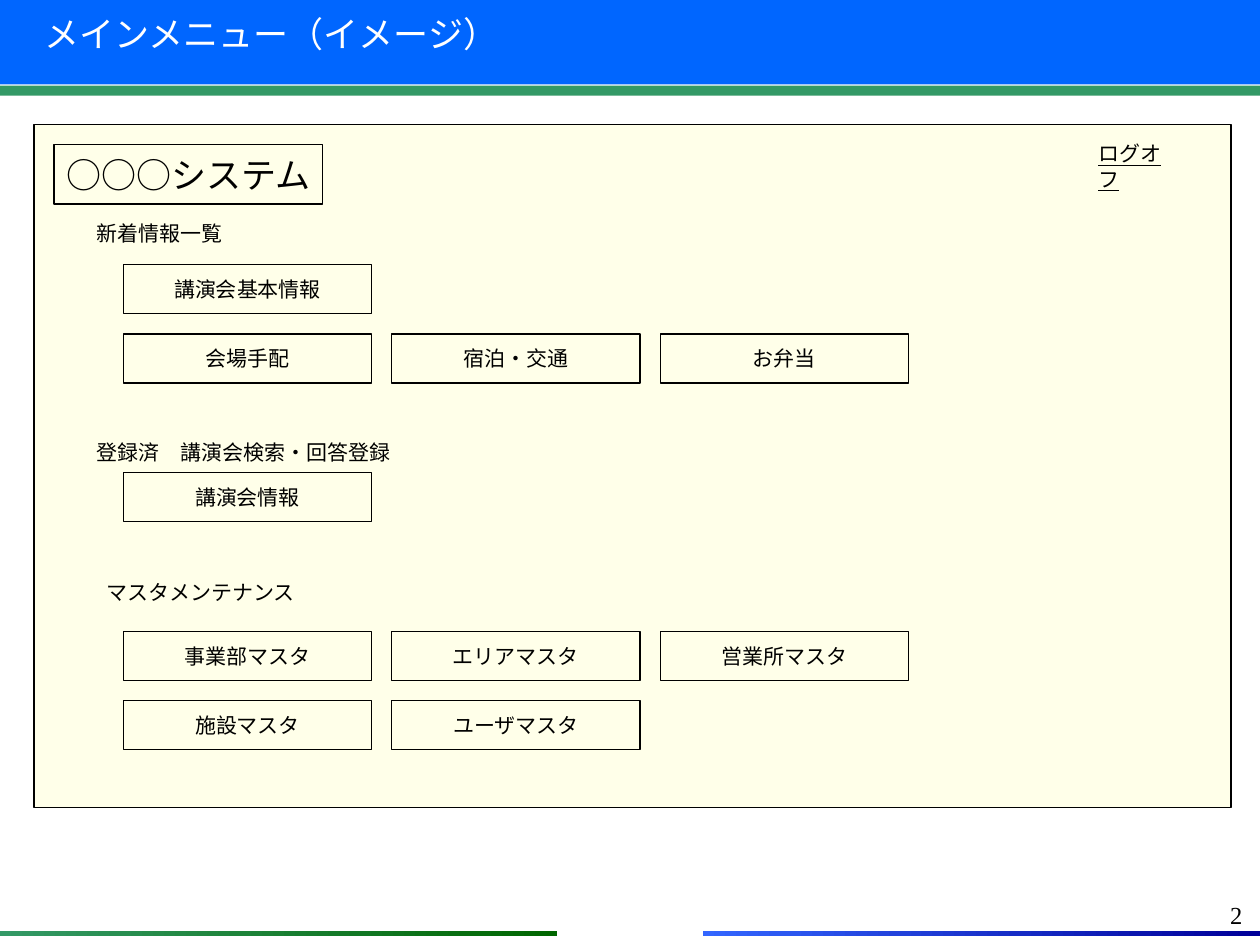
from pptx import Presentation
from pptx.dml.color import RGBColor
from pptx.enum.shapes import MSO_SHAPE as Shape
from pptx.enum.text import MSO_ANCHOR as Anchor, MSO_AUTO_SIZE as AutoSize, PP_ALIGN as Align
from pptx.util import Inches, Pt

BLACK = RGBColor(0x00, 0x00, 0x00)
WHITE = RGBColor(0xFF, 0xFF, 0xFF)
CREAM = RGBColor(0xFF, 0xFF, 0xE9)
BLUE = RGBColor(0x00, 0x66, 0xFF)
LIGHT_BLUE = RGBColor(0x33, 0x66, 0xFF)
NAVY = RGBColor(0x00, 0x00, 0x99)
GREEN = RGBColor(0x33, 0x99, 0x66)
DARK_GREEN = RGBColor(0x00, 0x66, 0x00)

BUTTON_W, BUTTON_H = 1.97, 0.39
COLUMN_STEP, ROW_STEP = 2.13, 0.55
BUTTON_LEFT = 0.71

SECTIONS = [
    ("新着情報一覧", 0.40, 0.71, 2.05, 1.11,
     [["講演会基本情報"], ["会場手配", "宿泊・交通", "お弁当"]]),
    ("登録済　講演会検索・回答登録", 0.40, 2.45, 2.68, 2.76,
     [["講演会情報"]]),
    ("マスタメンテナンス", 0.48, 3.56, 2.05, 4.02,
     [["事業部マスタ", "エリアマスタ", "営業所マスタ"], ["施設マスタ", "ユーザマスタ"]]),
]


def write(frame, text, size, color=BLACK, font="Arial", align=Align.LEFT, anchor=Anchor.TOP):
    """Put one formatted line of text into a text frame."""
    frame.text = text
    frame.auto_size = AutoSize.NONE
    frame.vertical_anchor = anchor
    line = frame.paragraphs[0]
    line.alignment = align
    style = line.runs[0].font
    style.size, style.name, style.color.rgb = Pt(size), font, color
    return style


def add_bar(slide, left, top, width, height, *colors):
    """Draw a borderless bar, with a left-to-right gradient if given two colours."""
    bar = slide.shapes.add_shape(
        Shape.RECTANGLE, Inches(left), Inches(top), Inches(width), Inches(height))
    bar.shadow.inherit = False
    bar.line.fill.background()
    if len(colors) == 1:
        bar.fill.solid()
        bar.fill.fore_color.rgb = colors[0]
    else:
        bar.fill.gradient()
        bar.fill.gradient_angle = 0
        for stop, color in zip(bar.fill.gradient_stops, colors):
            stop.color.rgb = color
    return bar


def add_frame(slide, left, top, width, height, fill=None):
    """Draw a thin black outlined rectangle, unfilled by default."""
    frame = add_bar(slide, left, top, width, height, fill or WHITE)
    if fill is None:
        frame.fill.background()
    frame.line.color.rgb = BLACK
    frame.line.width = Pt(0.75)
    return frame


def add_button(slide, label, left, top, width=BUTTON_W, height=BUTTON_H, size=12):
    """Draw an outlined menu button with a centred label."""
    button = add_frame(slide, left, top, width, height)
    write(button.text_frame, label, size, align=Align.CENTER, anchor=Anchor.MIDDLE)
    button.text_frame.word_wrap = False


def add_label(slide, text, left, top, width, height=0.3, size=12, **style):
    """Place a wrapping text label and return its font."""
    label = slide.shapes.add_textbox(
        Inches(left), Inches(top), Inches(width), Inches(height))
    label.text_frame.word_wrap = True
    return write(label.text_frame, text, size, **style)


def add_header(slide, left, top, width):
    """Draw the header bands and set the title over them."""
    add_bar(slide, left, top, width, 0.67, BLUE)
    add_bar(slide, left, top + 0.68, width, 0.08, GREEN)
    title = slide.shapes.title
    title.left, title.top = Inches(left + 0.25), Inches(top + 0.05)
    title.width, title.height = Inches(width - 0.25), Inches(0.79)
    write(title.text_frame, "メインメニュー（イメージ）", 20, WHITE, "DejaVu Sans")
    title.element.getparent().append(title.element)


def add_menu(slide, left, top, width, height):
    """Build the menu screen: system name, log-off link and button sections."""
    add_frame(slide, left, top, width, height, CREAM)
    add_button(slide, "○○○システム", left + 0.16, top + 0.16, 2.13, 0.47, 20)
    add_label(slide, "ログオフ", left + 8.35, top + 0.08, 0.86).underline = True
    for heading, indent, offset, heading_width, grid_offset, rows in SECTIONS:
        add_label(slide, heading, left + indent, top + offset, heading_width)
        for row, labels in enumerate(rows):
            for column, label in enumerate(labels):
                add_button(slide, label,
                           left + BUTTON_LEFT + column * COLUMN_STEP,
                           top + grid_offset + row * ROW_STEP)


def add_footer(slide, left, top, width):
    """Draw the two gradient strips and the page number."""
    strip = 4.42
    add_bar(slide, left, top, strip, 0.04, GREEN, DARK_GREEN)
    add_bar(slide, left + width - strip, top, strip, 0.04, LIGHT_BLUE, NAVY)
    add_label(slide, "2", left + width - 2.37, top - 0.3, 2.33, 0.52, 14,
              font="Times New Roman", align=Align.RIGHT)


def main():
    """Build and save the slide."""
    deck = Presentation()
    deck.slide_width, deck.slide_height = Inches(10), Inches(7.5)
    slide = deck.slides.add_slide(deck.slide_layouts[5])
    add_header(slide, 0, 0, 10)
    add_menu(slide, 0.27, 0.99, 9.5, 5.42)
    add_footer(slide, 0, 7.39, 10)
    deck.save("out.pptx")


if __name__ == "__main__":
    main()
